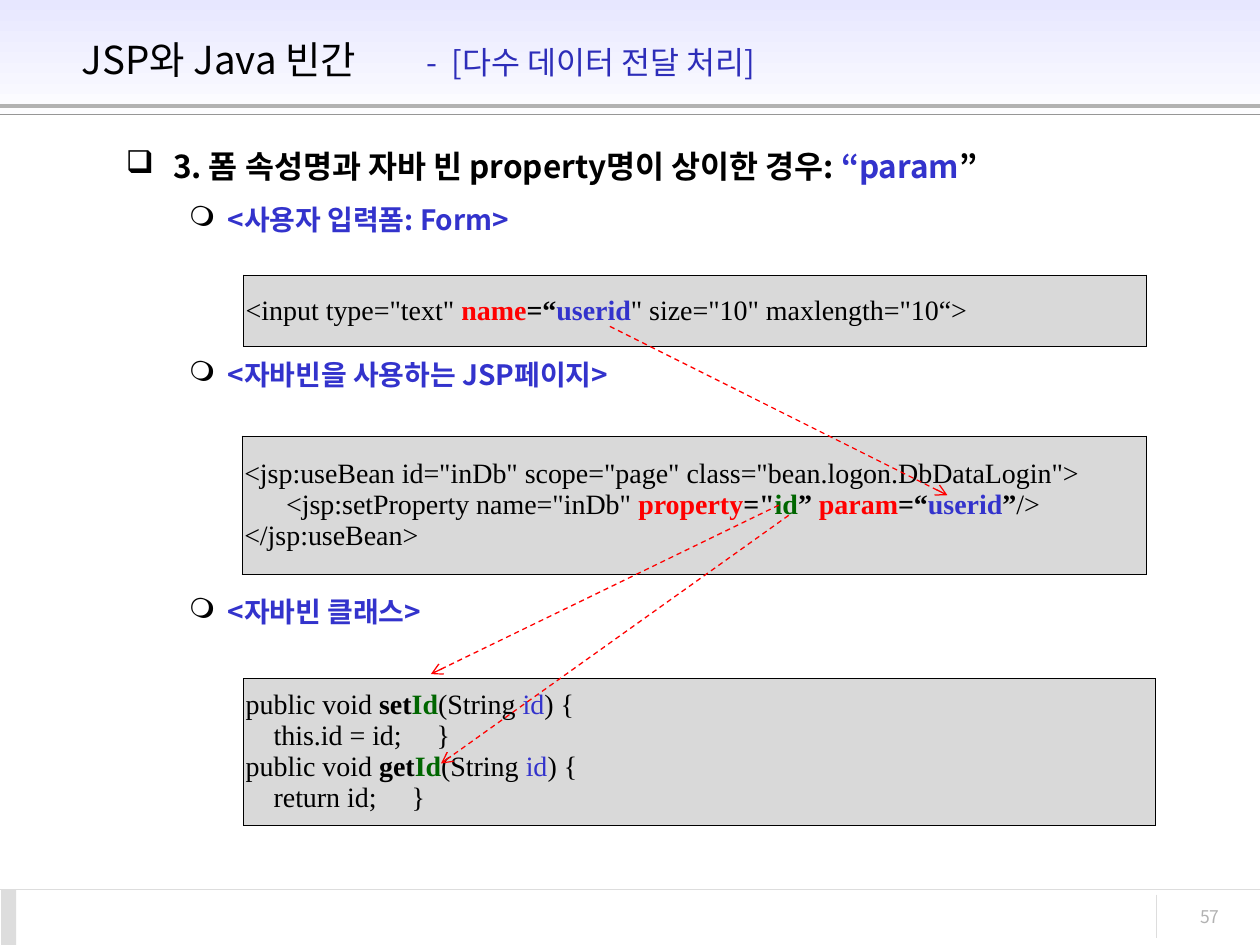
from lxml.etree import SubElement
from pptx import Presentation
from pptx.dml.color import RGBColor as RGB
from pptx.enum.dml import MSO_LINE as Dash
from pptx.enum.shapes import MSO_CONNECTOR as Conn, MSO_SHAPE as Shape
from pptx.enum.text import MSO_ANCHOR as Anchor, MSO_AUTO_SIZE as AutoSize, PP_ALIGN as Align
from pptx.oxml.ns import qn
from pptx.util import Pt

SANS, SERIF = "Noto Sans CJK KR", "Times New Roman"
BLACK, WHITE = RGB(0, 0, 0), RGB(255, 255, 255)
BLUE, NAVY = RGB(0x33, 0x33, 0xCC), RGB(0x2D, 0x2D, 0xB9)
RED, GREEN = RGB(255, 0, 0), RGB(0, 0x66, 0)
LAVENDER, CODE_BG = RGB(0xE7, 0xE7, 0xFF), RGB(0xD9, 0xD9, 0xD9)
PALE, MID, DARK = RGB(0xDD, 0xDD, 0xDD), RGB(0xB2, 0xB2, 0xB2), RGB(0x96, 0x96, 0x96)

FORM_CODE = [[('<input type="text" ',), ("name", RED, True), ("=“", BLACK, True),
              ("userid", BLUE, True), ('" size="10" maxlength="10“>',)]]
PAGE_CODE = [
    [('<jsp:useBean id="inDb" scope="page" class="bean.logon.DbDataLogin">',)],
    [('      <jsp:setProperty name="inDb" ',), ("property", RED, True), ('="', BLACK, True),
     ("id", GREEN, True), ("” ", BLACK, True), ("param", RED, True), ("=“", BLACK, True),
     ("userid", BLUE, True), ("”", BLACK, True), ("/>",)],
    [("</jsp:useBean>",)],
]


def accessor(verb, body):
    """Return the two code lines of a bean accessor."""
    return [
        [("public void ",), (verb, BLACK, True), ("Id", GREEN, True),
         ("(String ",), ("id", BLUE), (") {",)],
        [(f"    {body}     }}",)],
    ]


BEAN_CODE = accessor("set", "this.id = id;") + accessor("get", "return id;")


def add_run(p, text, size, font, color=BLACK, bold=False):
    """Append one formatted run to a paragraph."""
    r = p.add_run()
    r.text = text
    f = r.font
    f.size, f.name, f.bold, f.color.rgb = Pt(size), font, bold, color
    SubElement(f._element, qn("a:ea"), typeface=font)


def add_line(s, x1, y1, x2, y2, color, width):
    """Draw a straight line without shadow and return it."""
    line = s.shapes.add_connector(Conn.STRAIGHT, Pt(x1), Pt(y1), Pt(x2), Pt(y2))
    line.line.color.rgb, line.line.width = color, Pt(width)
    SubElement(line._element.spPr, qn("a:effectLst"))
    return line


def add_bar(s, x, y, w, h):
    """Draw a rectangle without outline or shadow and return its fill."""
    sp = s.shapes.add_shape(Shape.RECTANGLE, Pt(x), Pt(y), Pt(w), Pt(h))
    sp.shadow.inherit = False
    sp.line.fill.background()
    return sp.fill


def add_text_frame(s, x, y, w, h):
    """Add a wrapping text box and return its frame."""
    tf = s.shapes.add_textbox(Pt(x), Pt(y), Pt(w), Pt(h)).text_frame
    tf.word_wrap = True
    return tf


def add_header(s, x, y, w, h):
    """Draw the shaded band, its double rule and the slide title."""
    fill = add_bar(s, x, y, w, h)
    fill.gradient()
    fill.gradient_angle = 270
    for stop, color in zip(fill.gradient_stops, (LAVENDER, WHITE)):
        stop.color.rgb = color
    add_line(s, x, y + 60.5, x + w, y + 60.5, MID, 2.25)
    add_line(s, x, y + 65.5, x + w, y + 65.5, DARK, 0.75)

    title = s.shapes.title
    title.element.getparent().append(title.element)
    title.left, title.top, title.width, title.height = Pt(x + 39.6), Pt(y + 9.4), Pt(621), Pt(49)
    tf = title.text_frame
    tf.word_wrap, tf.auto_size, tf.vertical_anchor = True, AutoSize.NONE, Anchor.MIDDLE
    p = tf.paragraphs[0]
    p.alignment = Align.LEFT
    tabs = SubElement(p._p.get_or_add_pPr(), qn("a:tabLst"))
    SubElement(tabs, qn("a:tab"), pos=str(Pt(197)), algn="l")
    add_run(p, "JSP와 Java 빈간\t", 22, SANS)
    add_run(p, "-  [다수 데이터 전달 처리]", 18, SANS, NAVY)


def add_footer(s, x, y, w, h):
    """Draw the footer rules, corner block and page number."""
    add_line(s, x, y, x + w, y, PALE, 0.75)
    fill = add_bar(s, x + 0.7, y, 8.6, h)
    fill.solid()
    fill.fore_color.rgb = PALE
    add_line(s, x + 661, y + 3, x + 661, y + h - 4, PALE, 0.75)
    p = add_text_frame(s, x + 638, y + 6, 66, 24).paragraphs[0]
    p.alignment = Align.RIGHT
    add_run(p, "57", 10, SANS, MID)


def add_outline(s, x, y, w, h):
    """Write the numbered heading and the three bulleted subheadings."""
    items = [
        (0, 0, [("3. 폼 속성명과 자바 빈 property명이 상이한 경우: ", BLACK), ("“param", BLUE), ("”", BLACK)]),
        (1, 12, [("<사용자 입력폼: Form>", BLUE)]),
        (1, 71.7, [("<자바빈을 사용하는 JSP페이지>", BLUE)]),
        (1, 118, [("<자바빈 클래스>", BLUE)]),
    ]
    styles = [("❑", 27, 27, 18), ("❍", 58.3, 22.3, 16)]
    tf = add_text_frame(s, x, y, w, h)
    for i, (level, gap, runs) in enumerate(items):
        bullet, margin, hang, size = styles[level]
        p = tf.add_paragraph() if i else tf.paragraphs[0]
        p.level, p.space_before, p.line_spacing = level, Pt(gap), 0.9
        pPr = p._p.get_or_add_pPr()
        pPr.set("marL", str(Pt(margin)))
        pPr.set("indent", str(-Pt(hang)))
        SubElement(SubElement(pPr, qn("a:buClr")), qn("a:srgbClr"), val=str(BLACK))
        SubElement(pPr, qn("a:buChar"), char=bullet)
        for text, color in runs:
            add_run(p, text, size, SANS, color, True)


def add_code(s, x, y, w, h, lines, align=Align.LEFT):
    """Add a one-cell bordered table holding lines of code."""
    table = s.shapes.add_table(1, 1, Pt(x), Pt(y), Pt(w), Pt(h)).table
    table.first_row = table.horz_banding = False
    cell = table.cell(0, 0)
    cell.margin_left = cell.margin_right = Pt(1.4)
    cell.vertical_anchor = Anchor.MIDDLE
    tcPr = cell._tc.get_or_add_tcPr()
    for side in ("lnL", "lnR", "lnT", "lnB"):
        ln = SubElement(tcPr, qn(f"a:{side}"), w=str(Pt(0.11)))
        SubElement(SubElement(ln, qn("a:solidFill")), qn("a:srgbClr"), val=str(BLACK))
    cell.fill.solid()
    cell.fill.fore_color.rgb = CODE_BG
    tf = cell.text_frame
    for i, runs in enumerate(lines):
        p = tf.add_paragraph() if i else tf.paragraphs[0]
        p.alignment = align
        for text, *style in runs:
            add_run(p, text, 16, SERIF, *style)


def add_arrow(s, x1, y1, x2, y2):
    """Draw a dashed red arrow linking matching names."""
    line = add_line(s, x1, y1, x2, y2, RED, 0.75)
    line.line.dash_style = Dash.DASH
    SubElement(line.line._get_or_add_ln(), qn("a:tailEnd"), type="arrow")


def main():
    """Build and save the slide."""
    prs = Presentation()
    prs.slide_width, prs.slide_height = Pt(720), Pt(540)
    s = prs.slides.add_slide(prs.slide_layouts[5])
    add_header(s, 0, 0, 720, 72)
    add_footer(s, 0, 508.3, 720, 31.7)
    add_outline(s, 64.8, 82.8, 583.2, 396.7)
    add_code(s, 139, 157, 516, 41, FORM_CODE, Align.JUSTIFY)
    add_code(s, 138.2, 249, 517, 79.2, PAGE_CODE)
    add_code(s, 139, 387.5, 521.3, 79.7, BEAN_CODE)
    for ends in ((348.5, 186.5, 541.4, 283), (445, 288.7, 246.2, 385.2), (450.7, 294.5, 252, 436.3)):
        add_arrow(s, *ends)
    prs.save("out.pptx")


if __name__ == "__main__":
    main()
